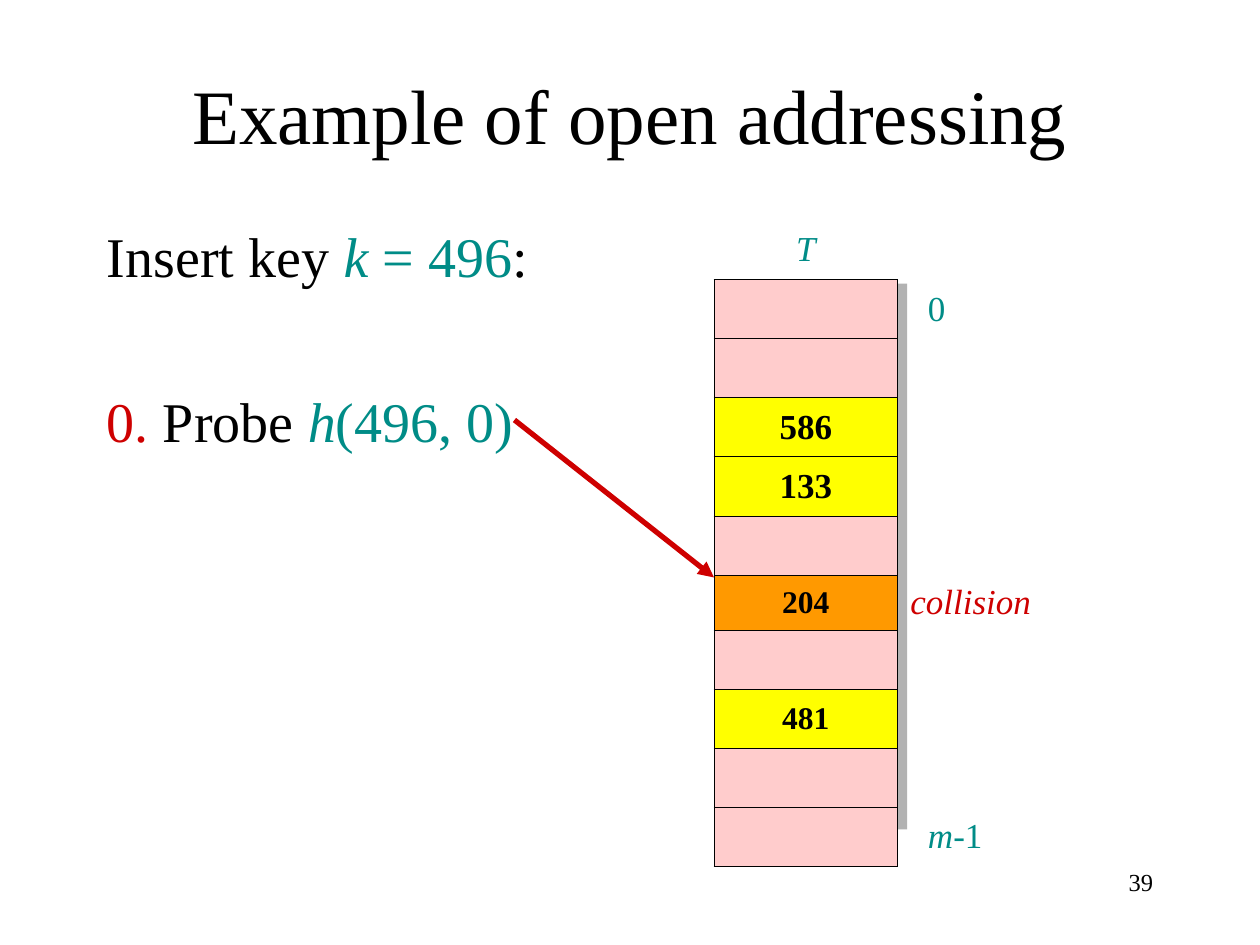
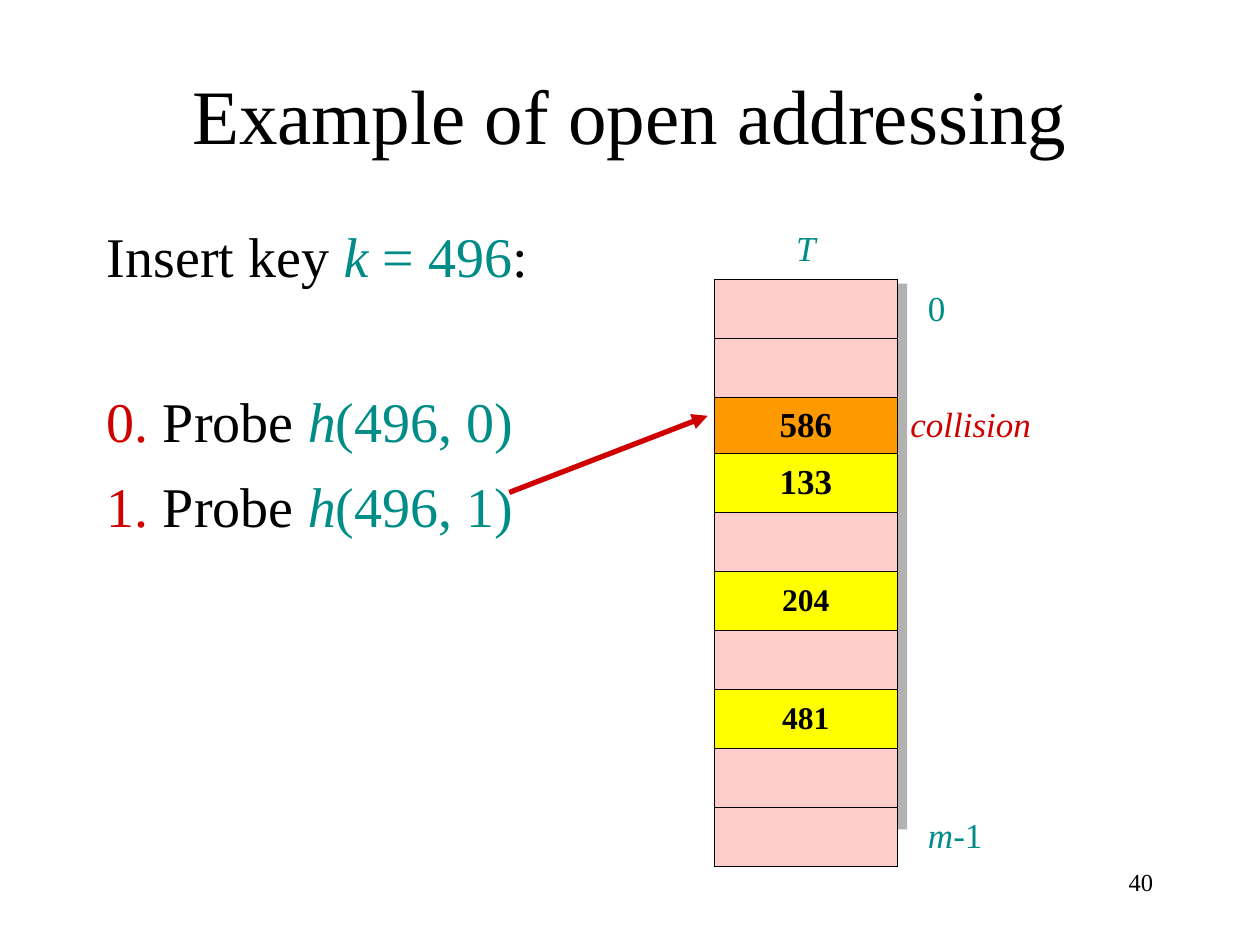
from dataclasses import dataclass
from itertools import chain
from typing import NamedTuple

from lxml import etree
from pptx import Presentation
from pptx import util as u
from pptx.dml.color import RGBColor
from pptx.enum import shapes, text
from pptx.oxml.ns import qn

COLORS = {
    "ink": "000000",
    "formula": "008C87",
    "alert": "CE0000",
    "empty": "FFCCCC",
    "taken": "FFFF00",
    "hit": "FF9900",
    "shade": "B2B2B2",
}
FONT = "Times New Roman"
WIDTH, HEIGHT = u.Inches(10), u.Inches(7.5)
COLUMNS = 120  # square grid units across the slide
FIRST_PAGE = 39
SLOTS = 10
SLOT_COLUMN = 17.5
SLOT_ROW, HIT_ROW = 5.63, 5.25
KEYS = {2: ("586", 20), 3: ("133", 20), 5: ("204", 18), 7: ("481", 18)}


class Run(NamedTuple):
    words: str
    color: str = "ink"
    italic: bool = False
    bold: bool = False


class Area(NamedTuple):
    left: float
    top: float
    width: float
    height: float


class Arrow(NamedTuple):
    start: tuple[float, float]
    end: tuple[float, float]


@dataclass(frozen=True)
class ProbeStep:
    probes: int
    hit_slot: int
    arrow: Arrow


TITLE_AREA = Area(9, 3, 102, 15)
BODY_AREA = Area(9, 20, 102, 60)
SHADE_AREA = Area(70.2, 27, 16.2, 52)
PAGE_AREA = Area(86, 82, 25, 6)
TABLE_LEFT, TABLE_TOP = 68, 21

STEPS = [
    ProbeStep(1, 5, Arrow((49, 40), (68, 55))),
    ProbeStep(2, 2, Arrow((48.5, 46.9), (67.4, 39.6))),
]


def grid(units: float) -> u.Emu:
    return u.Emu(round(WIDTH * units / COLUMNS))


def place(area: Area) -> list[u.Emu]:
    return [grid(side) for side in area]


def rgb(name: str) -> RGBColor:
    return RGBColor.from_string(COLORS[name])


def write(paragraph, runs: list[Run], size: float,
          align=text.PP_ALIGN.LEFT) -> None:
    paragraph.alignment = align
    for part in runs:
        run = paragraph.add_run()
        run.text = part.words
        font = run.font
        font.name, font.size = FONT, u.Pt(size)
        font.bold, font.italic = part.bold, part.italic
        font.color.rgb = rgb(part.color)


def add_title(slide) -> None:
    title = slide.shapes.title
    title.left, title.top, title.width, title.height = place(TITLE_AREA)
    frame = title.text_frame
    frame.auto_size = text.MSO_AUTO_SIZE.NONE
    frame.vertical_anchor = text.MSO_ANCHOR.MIDDLE
    frame.margin_top = u.Inches(0.1)
    write(frame.paragraphs[0], [Run("Example of open addressing")], 44,
          text.PP_ALIGN.CENTER)


def add_text_frame(slide, area: Area):
    frame = slide.shapes.add_textbox(*place(area)).text_frame
    frame.word_wrap = True
    return frame


def add_probe_list(slide, probes: int) -> None:
    frame = add_text_frame(slide, BODY_AREA)
    frame.margin_top = u.Inches(0.09)
    write(frame.paragraphs[0], [
        Run("Insert key "), Run("k", "formula", True),
        Run(" = 496", "formula"), Run(":"),
    ], 32)
    for number in range(probes):
        probe = frame.add_paragraph()
        probe.space_before = u.Pt(10 if number else 56)
        write(probe, [
            Run(f"{number}.", "alert"), Run(" Probe "),
            Run("h", "formula", True), Run(f"(496, {number})", "formula"),
        ], 32)


def set_borders(cell, sides: str) -> None:
    """Rule the given sides (from "LRTB") and clear the others."""
    properties = cell._tc.get_or_add_tcPr()
    for side in "LRTB":
        line = etree.SubElement(properties, qn(f"a:ln{side}"))
        if side in sides:
            line.set("w", str(u.Pt(0.45)))
            fill = etree.SubElement(line, qn("a:solidFill"))
            etree.SubElement(fill, qn("a:srgbClr"), val=COLORS["ink"])
        else:
            etree.SubElement(line, qn("a:noFill"))


def fill_cell(cell, sides: str, color: str | None = None) -> None:
    set_borders(cell, sides)
    cell.vertical_anchor = text.MSO_ANCHOR.MIDDLE
    if color:
        cell.fill.solid()
        cell.fill.fore_color.rgb = rgb(color)
    else:
        cell.fill.background()


def slot_color(slot: int, hit_slot: int) -> str:
    if slot == hit_slot:
        return "hit"
    return "taken" if slot in KEYS else "empty"


def add_hash_table(slide, hit_slot: int) -> None:
    heights = [SLOT_ROW] * (SLOTS + 1)
    heights[hit_slot + 1] = HIT_ROW
    area = Area(TABLE_LEFT, TABLE_TOP, 2 * SLOT_COLUMN, sum(heights))
    table = slide.shapes.add_table(SLOTS + 1, 2, *place(area)).table
    table.first_row = table.horz_banding = False
    for row, height in zip(table.rows, heights):
        row.height = grid(height)

    heading = table.cell(0, 0)
    fill_cell(heading, "B")
    fill_cell(table.cell(0, 1), "")
    write(heading.text_frame.paragraphs[0], [Run("T", "formula", True)], 20,
          text.PP_ALIGN.CENTER)

    notes = {
        0: [Run("0", "formula")],
        hit_slot: [Run("collision", "alert", True)],
        SLOTS - 1: [Run("m", "formula", True), Run("-1", "formula")],
    }
    for slot in range(SLOTS):
        key_cell, note_cell = (table.cell(slot + 1, side) for side in (0, 1))
        fill_cell(key_cell, "LRTB", slot_color(slot, hit_slot))
        fill_cell(note_cell, "L")
        if slot in KEYS:
            key, size = KEYS[slot]
            write(key_cell.text_frame.paragraphs[0], [Run(key, bold=True)],
                  size, text.PP_ALIGN.CENTER)
        if slot in notes:
            if slot != hit_slot:
                note_cell.margin_left = u.Inches(0.24)
            write(note_cell.text_frame.paragraphs[0], notes[slot], 20)


def add_table_shade(slide) -> None:
    shade = slide.shapes.add_shape(shapes.MSO_SHAPE.RECTANGLE,
                                   *place(SHADE_AREA))
    shade.shadow.inherit = False
    shade.fill.solid()
    shade.fill.fore_color.rgb = rgb("shade")
    shade.line.fill.background()


def add_probe_arrow(slide, arrow: Arrow) -> None:
    ends = [grid(units) for units in chain(arrow.start, arrow.end)]
    pointer = slide.shapes.add_connector(shapes.MSO_CONNECTOR.STRAIGHT, *ends)
    pointer.line.color.rgb = rgb("alert")
    pointer.line.width = u.Pt(3)
    etree.SubElement(pointer.line._get_or_add_ln(), qn("a:tailEnd"),
                     type="triangle")
    etree.SubElement(pointer._element.spPr, qn("a:effectLst"))


def add_page_number(slide, page: int) -> None:
    frame = add_text_frame(slide, PAGE_AREA)
    write(frame.paragraphs[0], [Run(str(page))], 14, text.PP_ALIGN.RIGHT)


def main() -> None:
    deck = Presentation()
    deck.slide_width, deck.slide_height = WIDTH, HEIGHT
    title_only = deck.slide_layouts.get_by_name("Title Only")
    for page, step in enumerate(STEPS, FIRST_PAGE):
        slide = deck.slides.add_slide(title_only)
        add_table_shade(slide)
        add_title(slide)
        add_probe_list(slide, step.probes)
        add_hash_table(slide, step.hit_slot)
        add_probe_arrow(slide, step.arrow)
        add_page_number(slide, page)
    deck.save("out.pptx")


if __name__ == "__main__":
    main()
